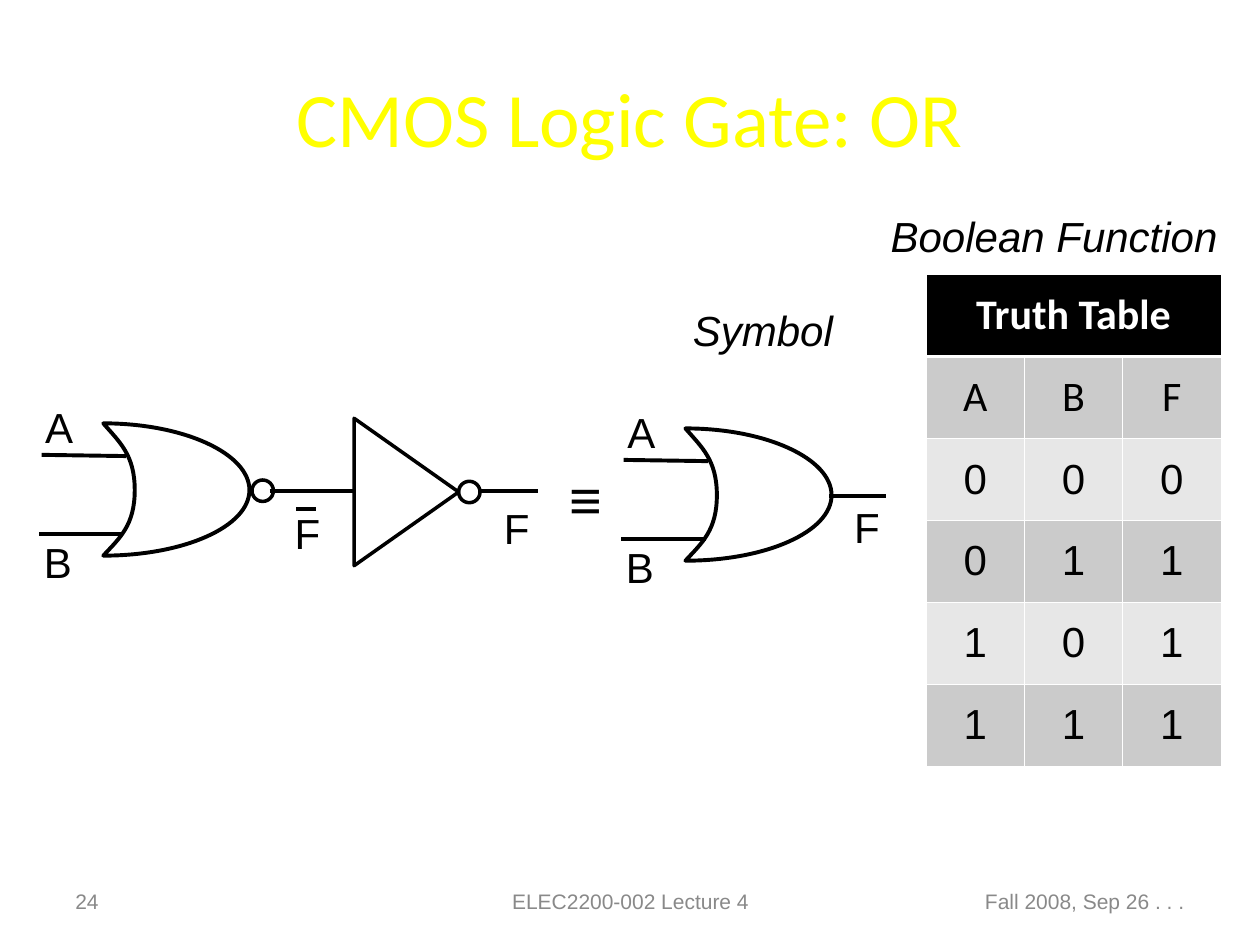
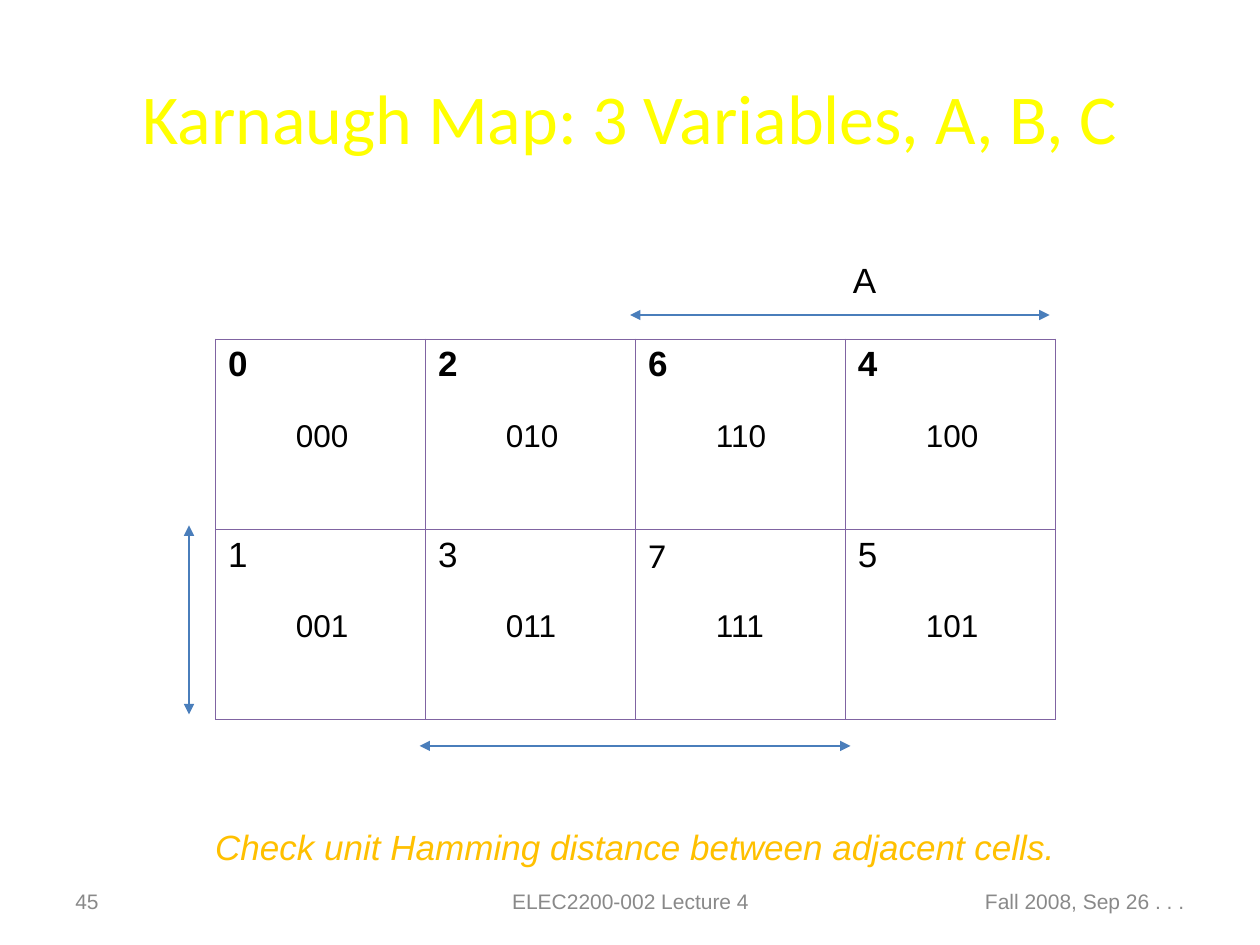
from dataclasses import dataclass

from lxml import etree
from pptx import Presentation
from pptx.dml.color import RGBColor
from pptx.enum.shapes import MSO_CONNECTOR, MSO_SHAPE
from pptx.enum.text import MSO_ANCHOR, MSO_AUTO_SIZE, PP_ALIGN
from pptx.oxml.ns import qn
from pptx.util import Inches, Pt

LEFT, CENTER, RIGHT = PP_ALIGN.LEFT, PP_ALIGN.CENTER, PP_ALIGN.RIGHT
TOP, MIDDLE = MSO_ANCHOR.TOP, MSO_ANCHOR.MIDDLE
STRAIGHT = MSO_CONNECTOR.STRAIGHT


@dataclass(frozen=True)
class Theme:
    title: str = "FFFF00"
    ink: str = "000000"
    paper: str = "FFFFFF"
    footer: str = "898989"
    remark: str = "FFC000"
    arrow: str = "4A7EBB"
    map_border: str = "8064A2"
    dark_row: str = "CBCBCB"
    light_row: str = "E7E7E7"
    head_font: str = "Calibri"
    body_font: str = "Arial"
    label_size: int = 24
    map_size: int = 20
    code_size: int = 18
    footer_size: int = 12
    wire: float = 2.25
    outline: float = 2


THEME = Theme()
WIDTH, HEIGHT = 10, 7.5

# Content
OR_TITLE = "CMOS Logic Gate: OR"
MAP_TITLE = "Karnaugh Map: 3 Variables, A, B, C"
COURSE, DATE = "ELEC2200-002 Lecture 4", "Fall 2008, Sep 26 . . ."
TRUTH_HEADING = "Truth Table"
TRUTH_ROWS = ["ABF", "000", "011", "101", "111"]
MINTERMS = [[0, 2, 6, 4], [1, 3, 7, 5]]
LEFT_TO_RIGHT_MINTERM = 7
REMARK = "Check unit Hamming distance between adjacent cells."

# Gate geometry, in inches from the gate's upper left corner
GATE_CURVES = [
    ((0.13, 0.15), (0.25, 0.25), (0.25, 0.53)),
    ((0.25, 0.81), (0.13, 0.91), (0, 1.05)),
    ((0.64, 1.05), (1.16, 0.82), (1.16, 0.53)),
    ((1.16, 0.24), (0.64, 0), (0, 0)),
]
GATE_WIRES = [(-0.49, 0.25, 0.18, 0.26), (-0.51, 0.88, 0.16, 0.88)]
GATE_LABELS = [("A", -0.56, -0.22, 0.42), ("B", -0.57, 0.85, 0.43)]

NOR_GATE, OR_GATE = (0.82, 3.36), (5.44, 3.4)
AXIS = 3.9
OUTPUT_WIRES = [
    (2.14, AXIS, 2.81, AXIS),
    (3.81, AXIS, 4.27, AXIS),
    (2.35, 4.04, 2.51, 4.04),
    (6.58, 3.94, 7.03, 3.94),
]
BUBBLES = [(2, 3.81), (3.64, 3.82)]
BUBBLE_SIZE = 0.17
OUTPUT_LABELS = [("F", 2.24, 3.98), ("F", 3.9, 3.94), ("F", 6.68, 3.93)]
CAPTIONS = [("Boolean Function", 6.97, 1.62, 2.79), ("Symbol", 5.4, 2.37, 1.31)]

MAP_LEFT, MAP_TOP, MAP_COLUMN, MAP_ROW = 1.71, 2.69, WIDTH / 6, 1.51
CODE_WIDTH, CODE_INDENT, CODE_DROP = 0.61, 0.54, 0.56
MAP_ARROWS = [(5, 2.5, 8.33, 2.5), (3.33, 5.92, 6.75, 5.92), (1.5, 4.17, 1.5, 5.67)]


def color(value):
    return RGBColor.from_string(value)


def write(frame, text, size, ink=THEME.ink, font=THEME.body_font,
          align=LEFT, bold=False, italic=False):
    frame.text = text
    para = frame.paragraphs[0]
    para.alignment = align
    span = para.runs[0].font
    span.name, span.size, span.color.rgb = font, Pt(size), color(ink)
    span.bold, span.italic = bold, italic


def make_right_to_left(frame):
    """Set the paragraph right to left, with the body font for its digits."""
    para = frame.paragraphs[0]
    para._p.get_or_add_pPr().set("rtl", "1")
    etree.SubElement(para.runs[0]._r.get_or_add_rPr(), qn("a:cs"), typeface=THEME.body_font)


def add_label(page, text, x, y, width, height=0.5, size=THEME.label_size,
              anchor=TOP, wrap=False, **style):
    box = page.shapes.add_textbox(*map(Inches, (x, y, width, height)))
    frame = box.text_frame
    frame.word_wrap = wrap
    if not wrap:
        frame.auto_size = MSO_AUTO_SIZE.SHAPE_TO_FIT_TEXT
        frame.margin_right = 0
    frame.vertical_anchor = anchor
    write(frame, text, size, **style)


def add_line(page, ends, ink=THEME.ink, weight=THEME.wire, arrows=False):
    line = page.shapes.add_connector(STRAIGHT, *map(Inches, ends))
    line.line.color.rgb, line.line.width = color(ink), Pt(weight)
    if arrows:
        stroke = line.line._get_or_add_ln()
        for end in ("a:headEnd", "a:tailEnd"):
            etree.SubElement(stroke, qn(end), type="triangle")
    etree.SubElement(line._element.spPr, qn("a:effectLst"))


def outline(shape, weight):
    shape.shadow.inherit = False
    shape.fill.background()
    shape.line.color.rgb, shape.line.width = color(THEME.ink), Pt(weight)


def add_gate_body(page, left, top):
    """Outline the gate through its corners, then bend each side into a curve."""
    builder = page.shapes.build_freeform(Inches(left), Inches(top))
    corners = [curve[-1] for curve in GATE_CURVES]
    builder.add_line_segments([(Inches(left + x), Inches(top + y)) for x, y in corners])
    body = builder.convert_to_shape()
    sides = list(body._element.iter(qn("a:lnTo")))
    for side, curve in zip(sides, GATE_CURVES):
        bend = etree.Element(qn("a:cubicBezTo"))
        for x, y in curve:
            etree.SubElement(bend, qn("a:pt"), x=str(Inches(x)), y=str(Inches(y)))
        side.getparent().replace(side, bend)
    outline(body, THEME.wire)


def add_gate(page, left, top):
    add_gate_body(page, left, top)
    for x1, y1, x2, y2 in GATE_WIRES:
        add_line(page, (left + x1, top + y1, left + x2, top + y2))
    for text, x, y, width in GATE_LABELS:
        add_label(page, text, left + x, top + y, width)


def add_grid(page, rows, columns, x, y, column_width, row_height):
    frame = page.shapes.add_table(rows, columns, Inches(x), Inches(y),
                                  Inches(column_width * columns), Inches(row_height * rows))
    grid = frame.table
    grid.first_row = grid.horz_banding = False
    return grid


def style_cell(cell, fill, border, anchor, bottom=0.45, top=0.45):
    cell.vertical_anchor = anchor
    properties = cell._tc.get_or_add_tcPr()
    for side, weight in (("L", 0.45), ("R", 0.45), ("T", top), ("B", bottom)):
        edge = etree.SubElement(properties, qn(f"a:ln{side}"), w=str(Pt(weight)))
        paint = etree.SubElement(edge, qn("a:solidFill"))
        etree.SubElement(paint, qn("a:srgbClr"), val=border)
    if fill:
        cell.fill.solid()
        cell.fill.fore_color.rgb = color(fill)
    else:
        cell.fill.background()


def add_page(deck, title, number, margin, size):
    page = deck.slides.add_slide(deck.slide_layouts[5])
    heading = page.shapes.title
    heading.left, heading.top = Inches(margin), Inches(0.3)
    heading.width, heading.height = Inches(WIDTH - 2 * margin), Inches(1.25)
    heading.text_frame.vertical_anchor = MIDDLE
    write(heading.text_frame, title, size, THEME.title, THEME.head_font, CENTER)
    for text, x, width, align in ((DATE, 7.17, 2.33, RIGHT), (COURSE, 3.42, 3.17, CENTER),
                                  (str(number), 0.5, 2.33, LEFT)):
        add_label(page, text, x, 6.95, width, 0.4, THEME.footer_size, MIDDLE, True,
                  ink=THEME.footer, align=align)
    return page


def add_truth_table(page):
    grid = add_grid(page, len(TRUTH_ROWS) + 1, 3, 7.35, 2.18, 0.78, 0.65)
    grid.cell(0, 0).merge(grid.cell(0, 2))
    for column in range(3):
        style_cell(grid.cell(0, column), THEME.ink, THEME.paper, MIDDLE, bottom=1.47)
    write(grid.cell(0, 0).text_frame, TRUTH_HEADING, THEME.label_size, THEME.paper,
          THEME.head_font, CENTER, bold=True)
    for row, values in enumerate(TRUTH_ROWS, 1):
        fill = THEME.dark_row if row % 2 else THEME.light_row
        for column, value in enumerate(values):
            cell = grid.cell(row, column)
            style_cell(cell, fill, THEME.paper, MIDDLE, top=1.47 if row == 1 else 0.45)
            write(cell.text_frame, value, THEME.label_size, font=THEME.head_font, align=CENTER)
            make_right_to_left(cell.text_frame)


def build_or_page(deck):
    page = add_page(deck, OR_TITLE, 24, 0.5, 44)
    add_truth_table(page)
    for text, x, y, width in CAPTIONS:
        add_label(page, text, x, y, width, italic=True)
    inverter = page.shapes.add_shape(MSO_SHAPE.ISOSCELES_TRIANGLE,
                                     *map(Inches, (2.64, 3.49, 1.17, 0.83)))
    inverter.rotation = 90
    outline(inverter, THEME.outline)
    for ends in OUTPUT_WIRES:
        add_line(page, ends)
    for x, y in BUBBLES:
        bubble = page.shapes.add_shape(MSO_SHAPE.OVAL, Inches(x), Inches(y),
                                       Inches(BUBBLE_SIZE), Inches(BUBBLE_SIZE))
        outline(bubble, THEME.outline)
    for gate in (NOR_GATE, OR_GATE):
        add_gate(page, *gate)
    for text, x, y in OUTPUT_LABELS:
        add_label(page, text, x, y, 0.4)
    add_label(page, "≡", 4.42, 3.64, 0.46, 0.64, 32)


def build_map_page(deck):
    page = add_page(deck, MAP_TITLE, 45, 0.25, 40)
    grid = add_grid(page, 2, 4, MAP_LEFT, MAP_TOP, MAP_COLUMN, MAP_ROW)
    for row, minterms in enumerate(MINTERMS):
        for column, minterm in enumerate(minterms):
            cell = grid.cell(row, column)
            style_cell(cell, None, THEME.map_border, TOP)
            write(cell.text_frame, str(minterm), THEME.map_size,
                  font=THEME.head_font, bold=row == 0)
            if minterm != LEFT_TO_RIGHT_MINTERM:
                make_right_to_left(cell.text_frame)
            x = MAP_LEFT + MAP_COLUMN * column + CODE_INDENT
            y = MAP_TOP + MAP_ROW * row + CODE_DROP
            add_label(page, f"{minterm:03b}", x, y, CODE_WIDTH, 0.4, THEME.code_size)
    for ends in MAP_ARROWS:
        add_line(page, ends, THEME.arrow, 0.75, arrows=True)
    add_label(page, "A", 6.67, 2, 0.38, 0.44, THEME.map_size)
    add_label(page, REMARK, 1.61, 6.5, 6.87, 0.44, THEME.map_size,
              ink=THEME.remark, italic=True)


def main():
    deck = Presentation()
    deck.slide_width, deck.slide_height = Inches(WIDTH), Inches(HEIGHT)
    build_or_page(deck)
    build_map_page(deck)
    deck.save("out.pptx")


if __name__ == "__main__":
    main()
